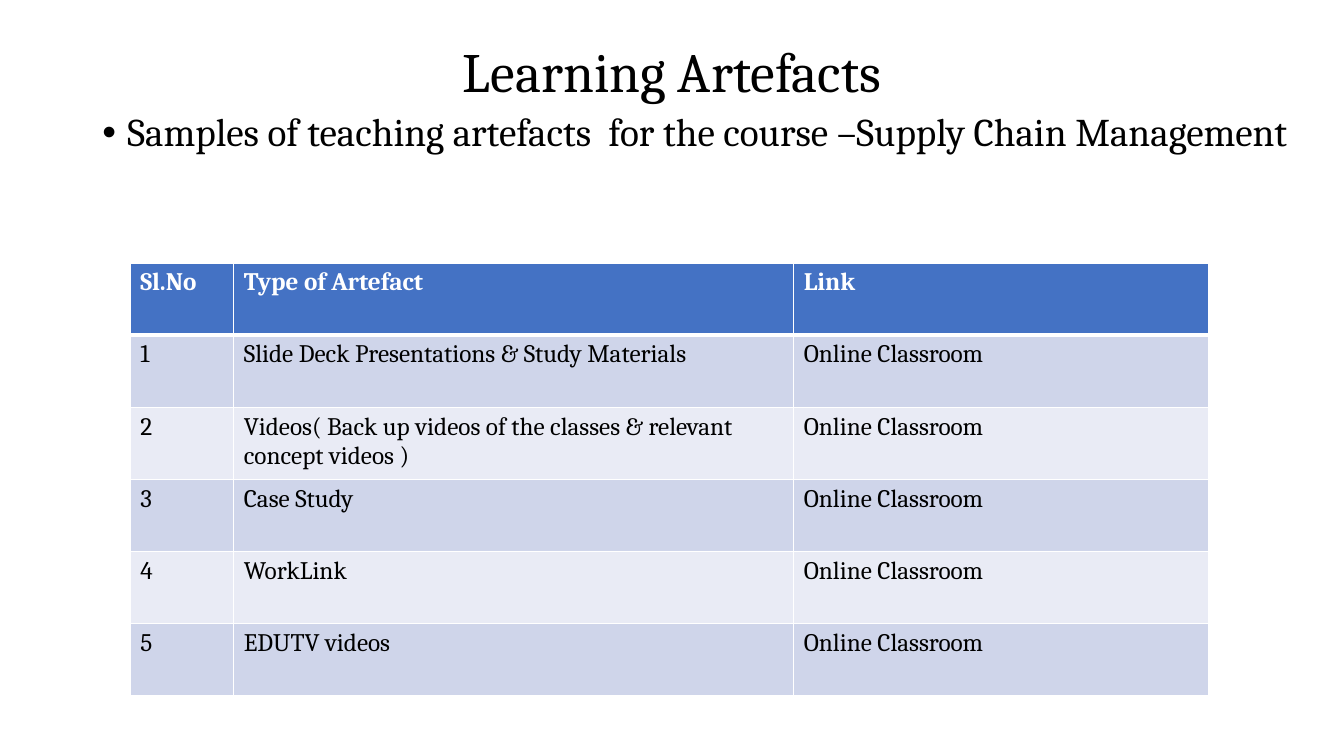
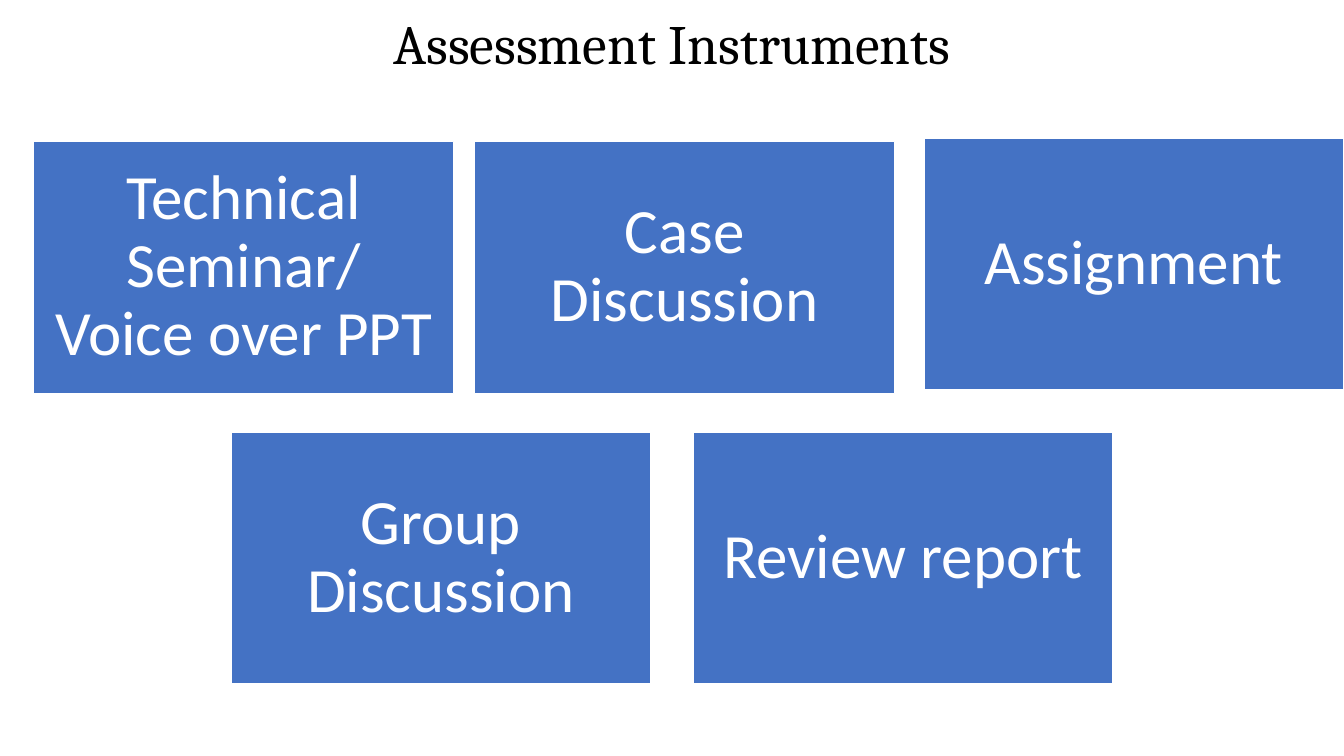
from lxml import etree
from pptx import Presentation
from pptx.dml.color import RGBColor
from pptx.enum.shapes import MSO_SHAPE
from pptx.enum.text import MSO_ANCHOR, PP_ALIGN
from pptx.oxml.ns import qn
from pptx.util import Pt

RECTANGLE = MSO_SHAPE.RECTANGLE
MIDDLE = MSO_ANCHOR.MIDDLE
CENTER = PP_ALIGN.CENTER

BLUE, WHITE, BLACK = "4472C4", "FFFFFF", "000000"
BAND_DARK, BAND_LIGHT = "CFD5EA", "E9EBF5"
SERIF, SANS = "Cambria", "Calibri"


def color(hex_string):
    return RGBColor.from_string(hex_string)


def add_run(paragraph, text, size, font, hex_string, bold=False):
    run = paragraph.add_run()
    run.text = text
    run.font.size = Pt(size)
    run.font.name = font
    run.font.bold = bold
    run.font.color.rgb = color(hex_string)


presentation = Presentation()
presentation.slide_width = Pt(960)
presentation.slide_height = Pt(540)
blank_layout = presentation.slide_layouts[6]

# Slides and their titles
slides = []
for title, top, height in [
    ("Learning Artefacts", 29, 49),
    ("Assessment Instruments", 11.5, 43),
]:
    slide = presentation.slides.add_slide(blank_layout)
    text_box = slide.shapes.add_textbox(Pt(66), Pt(top), Pt(828), Pt(height))
    text_box.text_frame.word_wrap = True
    text_box.text_frame.vertical_anchor = MIDDLE
    paragraph = text_box.text_frame.paragraphs[0]
    paragraph.alignment = CENTER
    paragraph.line_spacing = 0.9
    add_run(paragraph, title, 39.6, SERIF, BLACK)
    slides.append(slide)
artefacts_slide, assessment_slide = slides

# Slide 1: bulleted introduction
text_box = artefacts_slide.shapes.add_textbox(Pt(66), Pt(77), Pt(872), Pt(409))
text_box.text_frame.word_wrap = True
paragraph = text_box.text_frame.paragraphs[0]
paragraph.line_spacing = 0.9
paragraph.space_before = Pt(10)
add_run(paragraph, "Samples of teaching artefacts  for the course –Supply Chain Management",
        28, SERIF, BLACK)
properties = paragraph._p.get_or_add_pPr()
properties.set("marL", str(Pt(18)))
properties.set("indent", str(-Pt(18)))
etree.SubElement(properties, qn("a:buFont"), typeface="Arial")
etree.SubElement(properties, qn("a:buChar"), char="•")

# Slide 1: table of artefacts
artefacts = [
    "Slide Deck Presentations & Study Materials",
    "Videos( Back up videos of the classes & relevant  concept videos )",
    "Case Study",
    "WorkLink",
    "EDUTV videos",
]
rows = [("Sl.No", "Type of Artefact", "Link")]
for number, artefact in enumerate(artefacts, 1):
    rows.append((str(number), artefact, "Online Classroom"))

column_widths = [74, 400, 296]
row_height = 51.5
table = artefacts_slide.shapes.add_table(
    len(rows), len(column_widths), Pt(93), Pt(188),
    Pt(sum(column_widths)), Pt(row_height * len(rows))).table
for column, width in zip(table.columns, column_widths):
    column.width = Pt(width)

for row_index, texts in enumerate(rows):
    table.rows[row_index].height = Pt(row_height)
    is_header = row_index == 0
    if is_header:
        fill = BLUE
    else:
        fill = BAND_DARK if row_index % 2 else BAND_LIGHT
    for column_index, text in enumerate(texts):
        cell = table.cell(row_index, column_index)
        add_run(cell.text_frame.paragraphs[0], text, 18, SERIF,
                WHITE if is_header else BLACK, is_header)
        # Borders come before the fill in the cell properties
        cell_properties = cell._tc.get_or_add_tcPr()
        for side in ("L", "R", "T", "B"):
            thick = (is_header and side == "B") or (row_index == 1 and side == "T")
            border = etree.SubElement(cell_properties, qn(f"a:ln{side}"),
                                      w=str(Pt(3 if thick else 1)))
            border_fill = etree.SubElement(border, qn("a:solidFill"))
            etree.SubElement(border_fill, qn("a:srgbClr"), val=WHITE)
        cell.fill.solid()
        cell.fill.fore_color.rgb = color(fill)

# Slide 2: assessment boxes
for text, left, top in [
    ("Case Discussion", 339, 101),
    ("Technical Seminar/ Voice over PPT", 24, 101),
    ("Assignment", 660, 98.5),
    ("Group Discussion", 165, 308.5),
    ("Review report", 495, 308.5),
]:
    shape = assessment_slide.shapes.add_shape(
        RECTANGLE, Pt(left), Pt(top), Pt(300), Pt(180))
    shape.shadow.inherit = False
    shape.fill.solid()
    shape.fill.fore_color.rgb = color(BLUE)
    shape.line.color.rgb = color(WHITE)
    shape.line.width = Pt(1)
    frame = shape.text_frame
    frame.word_wrap = True
    frame.vertical_anchor = MIDDLE
    frame.margin_left = frame.margin_right = Pt(13.5)
    frame.margin_top = frame.margin_bottom = Pt(13.5)
    paragraph = frame.paragraphs[0]
    paragraph.alignment = CENTER
    paragraph.line_spacing = 0.9
    add_run(paragraph, text, 45, SANS, WHITE)

presentation.save("out.pptx")
